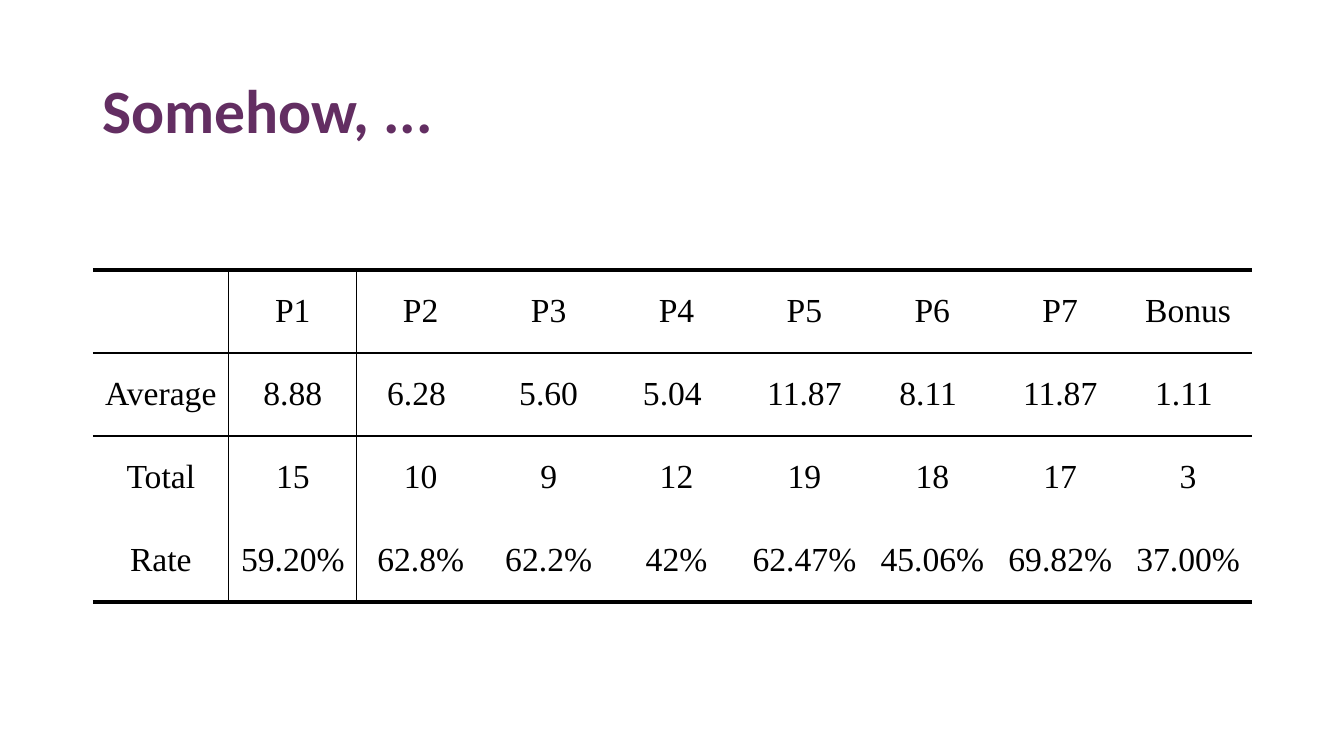
from dataclasses import dataclass

from lxml.etree import SubElement
from pptx import Presentation
from pptx.dml.color import RGBColor as Color
from pptx.enum.text import MSO_ANCHOR as Anchor, PP_ALIGN as Align
from pptx.oxml.ns import qn
from pptx.util import Emu, Pt

PX = 9144  # one hundredth of an inch


@dataclass(frozen=True)
class Theme:
    title_color: str = "632E62"
    ink: str = "000000"
    title_font: str = "Calibri"
    table_font: str = "Times New Roman"
    title_size: int = 44
    table_size: int = 24
    thick: float = 3
    medium: float = 1.5
    thin: float = 1


THEME = Theme()

SCORES = [
    ["", "P1", "P2", "P3", "P4", "P5", "P6", "P7", "Bonus"],
    ["Average", "8.88", "6.28 ", "5.60", "5.04 ", "11.87", "8.11 ", "11.87", "1.11 "],
    ["Total", "15", "10", "9", "12", "19", "18", "17", "3"],
    ["Rate", "59.20%", "62.8%", "62.2%", "42%", "62.47%", "45.06%", "69.82%", "37.00%"],
]
# Line widths by grid line, counted from the top and from the left
ROW_RULES = {0: THEME.thick, 1: THEME.medium, 2: THEME.medium, 4: THEME.thick}
COLUMN_RULES = {1: THEME.thin, 2: THEME.thin}


def px(length):
    return Emu(round(length * PX))


def add_run(paragraph, text, font_name, size, color, bold=False):
    run = paragraph.add_run()
    run.text = text
    run.font.name = font_name
    run.font.size = Pt(size)
    run.font.color.rgb = Color.from_string(color)
    run.font.bold = bold


def add_title(slide, text, left, top, width, height):
    frame = slide.shapes.add_textbox(px(left), px(top), px(width), px(height)).text_frame
    frame.word_wrap = True
    frame.vertical_anchor = Anchor.MIDDLE
    paragraph = frame.paragraphs[0]
    paragraph.line_spacing = 0.9
    add_run(paragraph, text, THEME.title_font, THEME.title_size, THEME.title_color, bold=True)


def set_borders(cell, row, column):
    """Draw the ruled sides of a cell and clear the others."""
    sides = {
        "a:lnL": COLUMN_RULES.get(column),
        "a:lnR": COLUMN_RULES.get(column + 1),
        "a:lnT": ROW_RULES.get(row),
        "a:lnB": ROW_RULES.get(row + 1),
    }
    properties = cell._tc.get_or_add_tcPr()
    for position, (tag, width) in enumerate(sides.items()):
        line = SubElement(properties, qn(tag))
        properties.insert(position, line)
        if width is None:
            SubElement(line, qn("a:noFill"))
        else:
            line.set("w", str(Pt(width)))
            fill = SubElement(line, qn("a:solidFill"))
            SubElement(fill, qn("a:srgbClr"), val=THEME.ink)


def add_ruled_table(slide, rows, left, top, width, height, label_width):
    row_count, column_count = len(rows), len(rows[0])
    table = slide.shapes.add_table(
        row_count, column_count, px(left), px(top), px(width), px(height)
    ).table
    table.first_row = table.horz_banding = False
    for column in table.columns:
        column.width = px((width - label_width) / (column_count - 1))
    table.columns[0].width = px(label_width)
    for row_index, texts in enumerate(rows):
        table.rows[row_index].height = px(height / row_count)
        for column_index, text in enumerate(texts):
            cell = table.cell(row_index, column_index)
            cell.fill.background()
            cell.vertical_anchor = Anchor.MIDDLE
            set_borders(cell, row_index, column_index)
            if text:
                paragraph = cell.text_frame.paragraphs[0]
                paragraph.alignment = Align.CENTER
                add_run(paragraph, text, THEME.table_font, THEME.table_size, THEME.ink)


def main():
    presentation = Presentation()
    presentation.slide_width, presentation.slide_height = px(1333), px(750)
    slide = presentation.slides.add_slide(presentation.slide_layouts[6])
    add_title(slide, "Somehow, ...", 92, 40, 1150, 145)
    add_ruled_table(slide, SCORES, 92, 268, 1150, 329, label_width=135)
    presentation.save("out.pptx")


if __name__ == "__main__":
    main()
